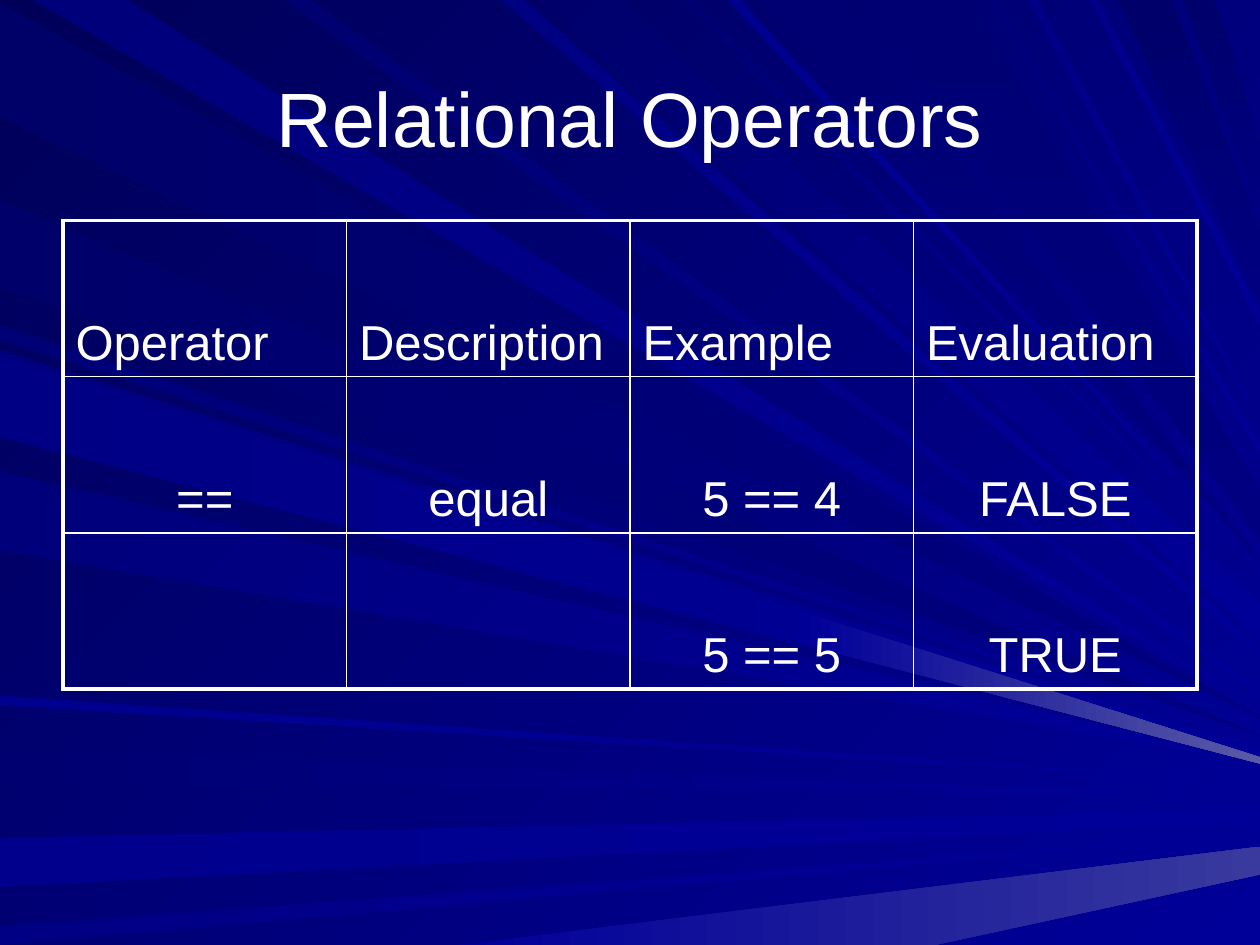
"""Build the slide on relational operators: blue rays, a title and a table."""
from enum import Enum
from typing import NamedTuple

from lxml.etree import Element, SubElement
from pptx import Presentation
from pptx.dml.color import RGBColor as RGB
from pptx.enum.text import MSO_ANCHOR as Anchor, PP_ALIGN as Align
from pptx.oxml.ns import qn
from pptx.util import Inches, Pt

WHITE = RGB(0xFF, 0xFF, 0xFF)
NIGHT = RGB(0x00, 0x00, 0x58)
NAVY = RGB(0x00, 0x00, 0x80)
BLUE = RGB(0x00, 0x00, 0x99)
HAZE = RGB(0x5A, 0x5A, 0xA6)
DUSK = RGB(0x39, 0x39, 0x9E)
FONT = "Arial"
THICK, THIN = Pt(2.25), Pt(1)
WIDE, HIGH, MIDDLE = 10, 7.5, 6.35
FLAT, SLANT, DOWN = 0, 45, 90


class Edge(Enum):
    LEFT = "left"
    TOP = "top"
    BASE = "base"
    MID = "mid"


class Ray(NamedTuple):
    edge: Edge
    near: float
    far: float
    tip: float
    start: RGB
    end: RGB = BLUE
    angle: int = FLAT
    spread: float = 0


def dark(level: int) -> RGB:
    """Return a pure blue of the given level."""
    return RGB(0, 0, level)


RAYS = [
    Ray(Edge.LEFT, 0.02, 0.93, 5.69, dark(0x69), NAVY),
    Ray(Edge.TOP, 0.26, 1.01, 5.62, dark(0x7B), BLUE, SLANT),
    Ray(Edge.LEFT, 5.96, 6.23, 6.31, dark(0x71)),
    Ray(Edge.LEFT, 6.65, 7.04, 6.43, dark(0x8C), spread=0.08),
    Ray(Edge.LEFT, 7.35, 7.55, 6.62, dark(0x85)),
    Ray(Edge.BASE, 3.64, 7.42, 6.72, BLUE, DUSK, spread=0.22),
    Ray(Edge.LEFT, 2.58, 2.7, 5.89, dark(0x76), BLUE, SLANT),
    Ray(Edge.LEFT, 1.59, 2.28, 5.84, dark(0x6B), NAVY),
    Ray(Edge.TOP, 3.98, 4.16, 5.15, dark(0x83), BLUE, SLANT, 0.06),
    Ray(Edge.TOP, 4.26, 4.92, 4.79, dark(0x6D), BLUE, SLANT, 0.28),
    Ray(Edge.TOP, 5.4, 5.52, 4.63, dark(0x73), BLUE, SLANT),
    Ray(Edge.TOP, 6.06, 6.61, 4.45, dark(0x73), NAVY, DOWN),
    Ray(Edge.TOP, 8.87, 9.3, 1.83, dark(0x6B), NAVY, DOWN, 0.54),
    Ray(Edge.TOP, 9.39, 9.64, 1.14, dark(0x6D), NAVY, DOWN, 0.53),
    Ray(Edge.LEFT, 2.78, 3.42, 5.96, dark(0x7E), BLUE, SLANT, 0.06),
    Ray(Edge.LEFT, 3.74, 4.37, 6.05, dark(0x7B), BLUE, SLANT),
    Ray(Edge.LEFT, 5.52, 5.6, 6.21, dark(0x8E)),
    Ray(Edge.TOP, 2.25, 2.47, 5.47, dark(0x70), BLUE, SLANT, 0.05),
    Ray(Edge.TOP, 5.77, 5.88, 4.53, dark(0x8E), BLUE, SLANT),
    Ray(Edge.TOP, 6.86, 7.7, 3.9, dark(0x73), NAVY, DOWN, 0.38),
    Ray(Edge.TOP, 7.85, 7.92, 3.54, dark(0x78), BLUE, SLANT, 0.06),
    Ray(Edge.TOP, 8.15, 8.24, 3.35, dark(0x85), BLUE, SLANT),
    Ray(Edge.TOP, 8.65, 8.72, 2.49, dark(0x8A), BLUE, SLANT, 0.09),
    Ray(Edge.LEFT, 2.83, 3.47, 6.01, dark(0x85), spread=0.05),
    Ray(Edge.MID, 4.85, 5.11, 6.01, BLUE, HAZE, spread=0.05),
]

ROWS = [
    ["Operator", "Description", "Example", "Evaluation"],
    ["==", "equal", "5 == 4", "FALSE"],
    ["", "", "5 == 5", "TRUE"],
]


def blend(fill, start: RGB, end: RGB, angle: int) -> None:
    """Fill with a linear gradient whose angle runs clockwise."""
    fill.gradient()
    fill.gradient_angle = -angle % 360
    for stop, color in zip(fill.gradient_stops, (start, end)):
        stop.color.rgb = color


def find_root(ray: Ray) -> list[tuple[float, float]]:
    """Return the upper and lower root of a ray."""
    match ray.edge:
        case Edge.TOP:
            return [(ray.far, 0), (ray.near, 0)]
        case Edge.BASE:
            return [(ray.near, HIGH), (ray.far, HIGH)]
        case Edge.MID:
            return [(MIDDLE, ray.near), (MIDDLE, ray.far)]
    return [(0, ray.near), (0, ray.far)]


def draw_ray(slide, ray: Ray) -> None:
    """Draw one ray from its edge to the right side."""
    upper, lower = find_root(ray)
    ends = [upper, (WIDE, ray.tip), (WIDE, ray.tip + ray.spread), lower]
    first, *rest = [(Inches(x), Inches(min(y, HIGH))) for x, y in ends]
    pen = slide.shapes.build_freeform(*first)
    pen.add_line_segments(rest, close=True)
    shape = pen.convert_to_shape()
    shape.shadow.inherit = False
    shape.line.fill.background()
    blend(shape.fill, ray.start, ray.end, ray.angle)


def write(para, text: str, size: int, align: Align) -> None:
    """Put styled white text in a paragraph."""
    para.text = text
    para.alignment = align
    para.font.name = FONT
    para.font.size = Pt(size)
    para.font.color.rgb = WHITE


def draw_title(slide, text: str) -> None:
    """Add the centred title."""
    box = slide.shapes.add_textbox(Inches(0.5), Inches(0.3), Inches(9), Inches(1.25))
    frame = box.text_frame
    frame.word_wrap = True
    frame.vertical_anchor = Anchor.MIDDLE
    write(frame.paragraphs[0], text, 44, Align.CENTER)


def rule_cell(cell, widths: dict[str, int]) -> None:
    """Give each side of a cell a white border of its own width."""
    props = cell._tc.get_or_add_tcPr()
    for place, (side, width) in enumerate(widths.items()):
        line = Element(qn(f"a:ln{side}"), w=str(width))
        fill = SubElement(line, qn("a:solidFill"))
        SubElement(fill, qn("a:srgbClr"), val=str(WHITE))
        props.insert(place, line)


def draw_table(slide, rows: list[list[str]]) -> None:
    """Add the table with a thick frame and thin inner rules."""
    high, wide = len(rows), len(rows[0])
    frame = slide.shapes.add_table(high, wide, Inches(0.5), Inches(1.75), Inches(9), Inches(3.72))
    table = frame.table
    table.first_row = table.horz_banding = False
    for i, row in enumerate(rows):
        for j, text in enumerate(row):
            cell = table.cell(i, j)
            cell.fill.background()
            cell.vertical_anchor = Anchor.BOTTOM
            write(cell.text_frame.paragraphs[0], text, 28, Align.CENTER if i else Align.LEFT)
            edges = {"L": j == 0, "R": j == wide - 1, "T": i == 0, "B": i == high - 1}
            rule_cell(cell, {side: THICK if outer else THIN for side, outer in edges.items()})


def main() -> None:
    """Build and save the slide."""
    deck = Presentation()
    deck.slide_width, deck.slide_height = Inches(WIDE), Inches(HIGH)
    slide = deck.slides.add_slide(deck.slide_layouts[6])
    blend(slide.background.fill, NIGHT, BLUE, SLANT)
    for ray in RAYS:
        draw_ray(slide, ray)
    draw_title(slide, "Relational Operators")
    draw_table(slide, ROWS)
    deck.save("out.pptx")


if __name__ == "__main__":
    main()
